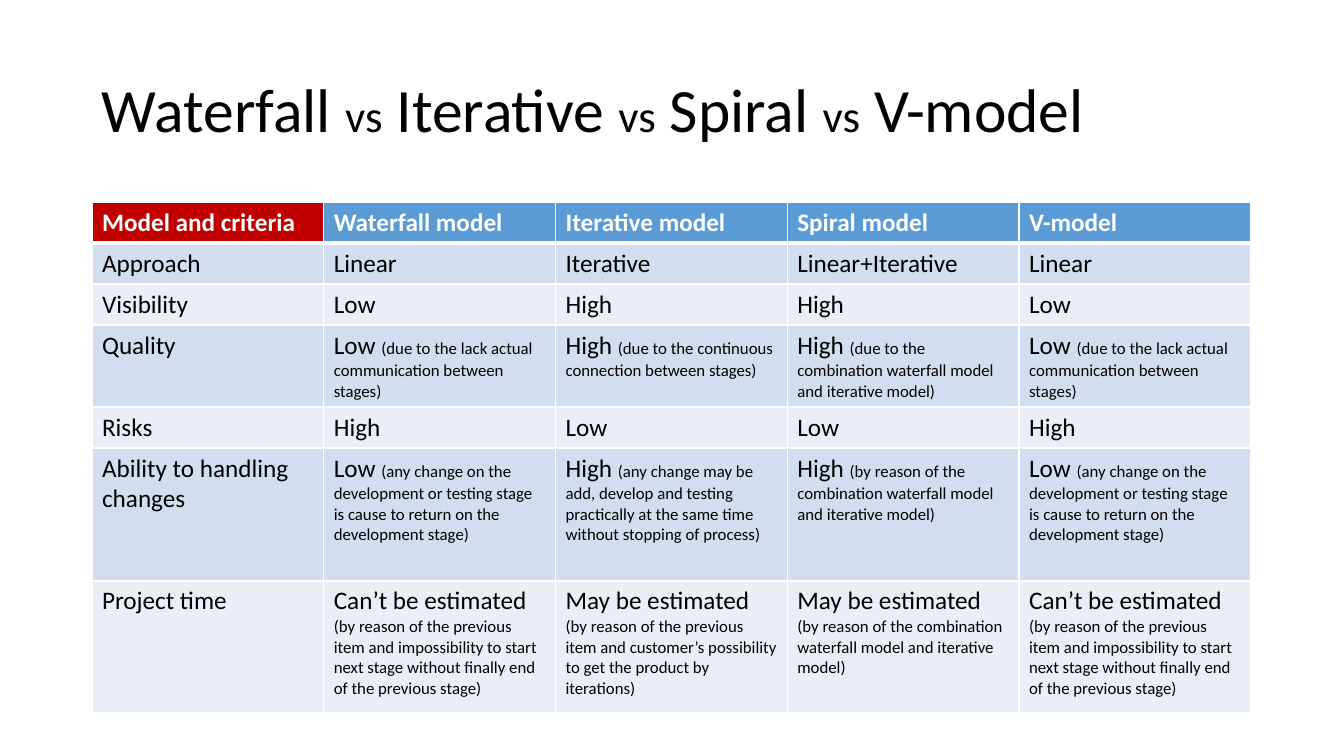
import pptx
import pptx.util
import pptx.dml.color
import pptx.enum.text
import pptx.oxml
import pptx.oxml.ns

RGB = pptx.dml.color.RGBColor
WHITE = RGB(0xFF, 0xFF, 0xFF)
BLACK = RGB(0, 0, 0)
RED = RGB(0xC0, 0, 0)
BLUE = RGB(0x5B, 0x9B, 0xD5)
DARK = RGB(0xD2, 0xDE, 0xEF)
LIGHT = RGB(0xEA, 0xEF, 0xF7)
SCALE = 914400 / 100.8

TITLE = [("Waterfall ", 44), ("vs", 32), (" Iterative ", 44), ("vs", 32),
         (" Spiral ", 44), ("vs", 32), (" V-model", 44)]

LACK = "Low", "(due to the lack actual communication between stages)"
BACK = "Low", ("(any change on the development or testing stage is cause "
               "to return on the development stage)")
MIX = "combination waterfall model and iterative model)"
NEVER = "Can’t be estimated", (
    "(by reason of the previous item and impossibility to start next stage "
    "without finally end of the previous stage)")
MAYBE = "May be estimated"

# Each row: height, then its cells; a pair is a rating and its reason.
ROWS = [
    (41, ["Model and criteria", "Waterfall model", "Iterative model",
          "Spiral model", "V-model"]),
    (41, ["Approach", "Linear", "Iterative", "Linear+Iterative", "Linear"]),
    (41, ["Visibility", "Low", "High", "High", "Low"]),
    (82, ["Quality", LACK,
          ("High", "(due to the continuous connection between stages)"),
          ("High", "(due to the " + MIX), LACK]),
    (41, ["Risks", "High", "Low", "Low", "High"]),
    (133, ["Ability to handling changes", BACK,
           ("High", "(any change may be add, develop and testing practically "
                    "at the same time without stopping of process)"),
           ("High", "(by reason of the " + MIX), BACK]),
    (132, ["Project time", NEVER,
           (MAYBE, "(by reason of the previous item and customer’s "
                   "possibility to get the product by iterations)"),
           (MAYBE, "(by reason of the " + MIX), NEVER]),
]


def px(num):
    """Turn pixels into EMU."""
    return pptx.util.Emu(round(num * SCALE))


def add_run(para, text, size, tint=BLACK, bold=False):
    """Add one formatted run to a paragraph."""
    run = para.add_run()
    run.text = text
    look = {"name": "Calibri", "size": pptx.util.Pt(size), "bold": bold}
    for key, val in look.items():
        setattr(run.font, key, val)
    run.font.color.rgb = tint


def add_title(slide, box):
    """Place the title line, centred upright in its box."""
    frame = slide.shapes.add_textbox(*map(px, box)).text_frame
    look = {"word_wrap": True,
            "vertical_anchor": pptx.enum.text.MSO_ANCHOR.MIDDLE}
    for key, val in look.items():
        setattr(frame, key, val)
    para = frame.paragraphs[0]
    para.line_spacing = 0.9
    for text, size in TITLE:
        add_run(para, text, size)


def add_edge(cell, side, width):
    """Draw one white edge of a cell."""
    space = pptx.oxml.ns.nsdecls("a")
    cell._tc.get_or_add_tcPr().append(pptx.oxml.parse_xml(
        f'<a:ln{side} {space} w="{pptx.util.Pt(width)}"><a:solidFill>'
        f'<a:srgbClr val="{WHITE}"/></a:solidFill></a:ln{side}>'))


def fill_cell(cell, item, row, col):
    """Set the edges, fill and text of a cell."""
    head = row == 0
    thick = {"L": 1, "R": 1, "T": 3 if row == 1 else 1, "B": 3 if head else 1}
    for side, width in thick.items():
        add_edge(cell, side, width)
    cell.fill.solid()
    if head:
        tone = BLUE if col else RED
    else:
        tone = DARK if row % 2 else LIGHT
    cell.fill.fore_color.rgb = tone
    main, note = (item, "") if isinstance(item, str) else item
    para = cell.text_frame.paragraphs[0]
    split = main.endswith("estimated")
    text = main + " " if note and not split else main
    add_run(para, text, 18, WHITE if head else BLACK, head)
    if split:
        para.add_line_break()
    if note:
        add_run(para, note, 12)


def add_grid(slide, box):
    """Place the table that compares the models."""
    count = len(ROWS[0][1])
    grid = slide.shapes.add_table(len(ROWS), count, *map(px, box)).table
    for col in grid.columns:
        col.width = px(box[2] / count)
    for row, (high, items) in enumerate(ROWS):
        grid.rows[row].height = px(high)
        for col, item in enumerate(items):
            fill_cell(grid.cell(row, col), item, row, col)


def main():
    """Build the slide and save it."""
    deck = pptx.Presentation()
    deck.slide_width, deck.slide_height = px(1344), px(756)
    slide = deck.slides.add_slide(deck.slide_layouts[6])
    add_title(slide, (92, 40, 1159, 146))
    add_grid(slide, (92, 202, 1159, 511))
    deck.save("out.pptx")


main()
